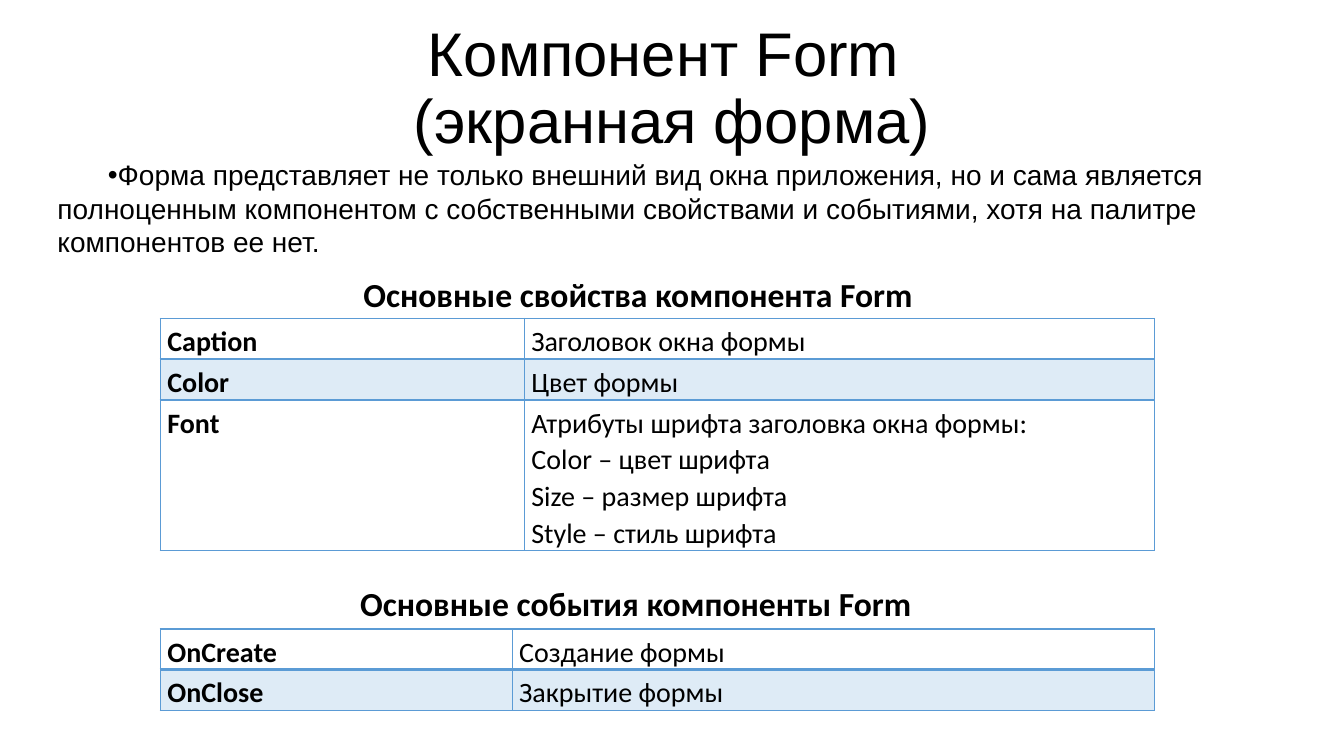
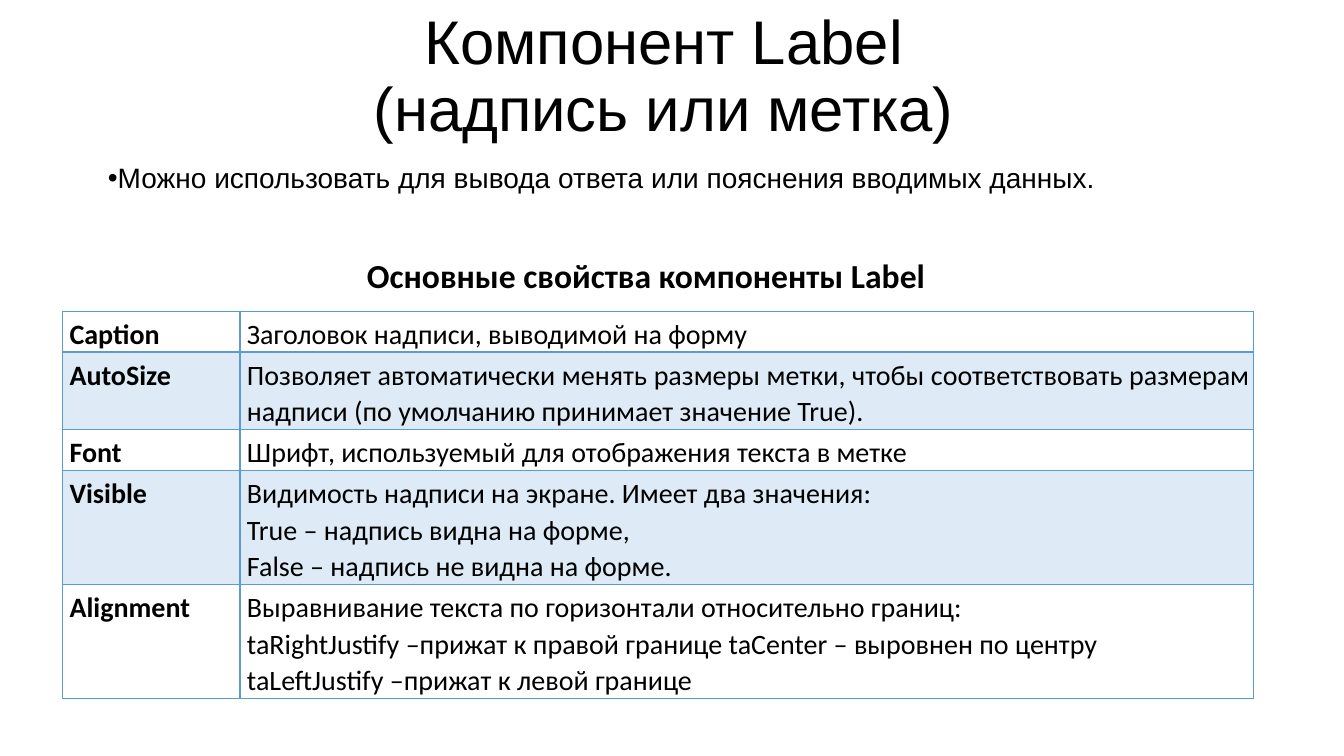
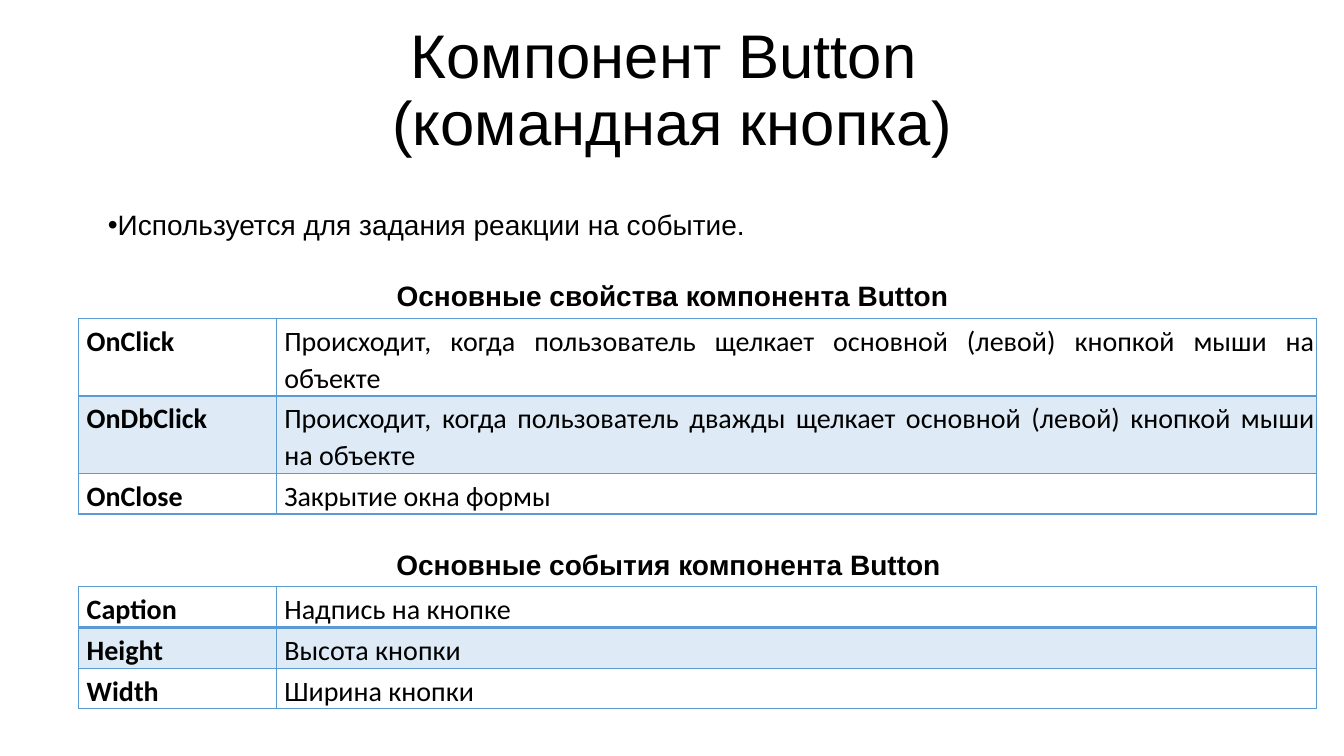
import pptx
import pptx.dml.color
import pptx.enum.text
import pptx.oxml
import pptx.oxml.ns
import pptx.util

Inches, Pt = pptx.util.Inches, pptx.util.Pt
ALIGN = pptx.enum.text.PP_ALIGN
ANCHOR = pptx.enum.text.MSO_ANCHOR
BLACK, BLUE = "000000", "5B9BD5"
LINE_HEIGHT = 0.36
CELL_PADDING = 0.03
SIDES = ("L", "R", "T", "B")


def style_text(frame, font, size, bold=False, align=ALIGN.LEFT, spacing=1.0):
    for para in frame.paragraphs:
        para.alignment = align
        para.line_spacing = spacing
        para.space_before = Pt(0)
        for span in para.runs:
            span.font.name = font
            span.font.size = Pt(size)
            span.font.bold = bold
            span.font.color.rgb = pptx.dml.color.RGBColor.from_string(BLACK)


def place(shape, left, top, width, height):
    shape.left, shape.top = Inches(left), Inches(top)
    shape.width, shape.height = Inches(width), Inches(height)
    shape.text_frame.word_wrap = True
    shape.text_frame.auto_size = pptx.enum.text.MSO_AUTO_SIZE.NONE


# Captions: text, left, top, width, font, size.
# Tables: left, top, column widths, left and right cell insets, rows.
# Rows: name, description, number of lines.
slides = [
    {
        "title": "Компонент Form \v(экранная форма)",
        "title_top": 0.17,
        "lead": "Форма представляет не только внешний вид окна приложения, но и сама "
                "является полноценным компонентом с собственными свойствами и событиями, "
                "хотя на палитре компонентов ее нет.",
        "lead_box": (1.51, 1.11),
        "captions": [
            ("Основные свойства компонента Form ", 3.34, 2.67, 6.05, "Calibri", 24),
            ("Основные события компоненты Form", 3.28, 5.73, 6.05, "Calibri", 24),
        ],
        "tables": [
            (1.59, 3.16, (3.61, 6.25), (0.07, 0.08), [
                ("Caption", "Заголовок окна формы", 1),
                ("Color", "Цвет формы", 1),
                ("Font", "Атрибуты шрифта заголовка окна формы:\nColor – цвет шрифта\n"
                         "Size – размер шрифта\nStyle – стиль шрифта", 4),
            ]),
            (1.59, 6.24, (3.49, 6.37), (0.07, 0.08), [
                ("OnCreate", "Создание формы", 1),
                ("OnClose", "Закрытие формы", 1),
            ]),
        ],
    },
    {
        "title": "Компонент Label \v(надпись или метка) ",
        "title_top": 0.05,
        "lead": "Можно использовать для вывода ответа или пояснения вводимых данных.",
        "lead_box": (1.54, 0.44),
        "captions": [
            ("Основные свойства компоненты Label ", 3.42, 2.48, 6.05, "Calibri", 24),
        ],
        "tables": [
            (0.62, 3.09, (1.76, 10.05), (0.07, 0.03), [
                ("Caption", "Заголовок надписи, выводимой на форму", 1),
                ("AutoSize", "Позволяет автоматически менять размеры метки, чтобы "
                             "соответствовать размерам надписи (по умолчанию принимает "
                             "значение True).", 2),
                ("Font", "Шрифт, используемый для отображения текста в метке", 1),
                ("Visible", "Видимость надписи на экране. Имеет два значения:\n"
                            "True – надпись видна на форме,\n"
                            "False – надпись не видна на форме.", 3),
                ("Alignment", "Выравнивание текста по горизонтали относительно границ:\v"
                              "taRightJustify –прижат к правой границе "
                              "taCenter – выровнен по центру\v"
                              "taLeftJustify –прижат к левой границе", 3),
            ]),
        ],
    },
    {
        "title": "Компонент Button \v(командная кнопка)",
        "title_top": 0.19,
        "lead": "Используется для задания реакции на событие.",
        "lead_box": (2.01, 0.44),
        "captions": [
            ("Основные свойства компонента Button", 0.47, 2.71, 12.4, "Arial", 20),
            ("Основные события компонента Button ", 0.47, 5.38, 12.4, "Arial", 20),
        ],
        "tables": [
            (0.78, 3.16, (1.96, 10.32), (0.08, 0.02), [
                ("OnClick", "Происходит, когда пользователь щелкает основной (левой) "
                            "кнопкой мыши на объекте", 2),
                ("OnDbClick", "Происходит, когда пользователь дважды щелкает основной "
                              "(левой) кнопкой мыши на объекте", 2),
                ("OnClose", "Закрытие окна формы", 1),
            ]),
            (0.78, 5.82, (1.96, 10.32), (0.08, 0.08), [
                ("Caption", "Надпись на кнопке", 1),
                ("Height", "Высота кнопки", 1),
                ("Width", "Ширина кнопки", 1),
            ]),
        ],
    },
]

deck = pptx.Presentation()
deck.slide_width, deck.slide_height = Inches(13.33), Inches(7.5)

for content in slides:
    page = deck.slides.add_slide(deck.slide_layouts[1])

    title = page.shapes.title
    place(title, 0.92, content["title_top"], 11.5, 1.45)
    title.text_frame.text = content["title"]
    title.text_frame.vertical_anchor = ANCHOR.MIDDLE
    style_text(title.text_frame, "Arial", 44, align=ALIGN.CENTER, spacing=0.9)

    lead = page.placeholders[1]
    lead_top, lead_height = content["lead_box"]
    place(lead, 0.47, lead_top, 12.4, lead_height)
    lead.text_frame.text = content["lead"]
    lead.text_frame.vertical_anchor = ANCHOR.MIDDLE
    style_text(lead.text_frame, "Arial", 20)
    indents = lead.text_frame.paragraphs[0]._p.get_or_add_pPr()
    indents.set("marL", "0")
    indents.set("indent", str(Inches(0.5)))

    for text, left, top, width, font, size in content["captions"]:
        caption = page.shapes.add_textbox(0, 0, 0, 0)
        place(caption, left, top, width, 0.5)
        caption.text_frame.text = text
        style_text(caption.text_frame, font, size, bold=True, align=ALIGN.CENTER)

    for left, top, widths, insets, rows in content["tables"]:
        heights = [CELL_PADDING + LINE_HEIGHT * lines for _, _, lines in rows]
        table = page.shapes.add_table(
            len(rows), len(widths), Inches(left), Inches(top),
            Inches(sum(widths)), Inches(sum(heights))).table
        table.first_row = table.horz_banding = False
        for column, width in zip(table.columns, widths):
            column.width = Inches(width)

        for row_index, (name, description, lines) in enumerate(rows):
            table.rows[row_index].height = Inches(heights[row_index])
            wraps = lines > 1 and "\n" not in description and "\v" not in description
            for column_index, text in enumerate((name, description)):
                cell = table.cell(row_index, column_index)
                cell.text_frame.text = text
                cell.margin_left, cell.margin_right = map(Inches, insets)
                cell.margin_top, cell.margin_bottom = Inches(0.04), 0
                justified = wraps and column_index == 1
                style_text(cell.text_frame, "Calibri", 20, bold=column_index == 0,
                           align=ALIGN.JUSTIFY if justified else ALIGN.LEFT, spacing=1.07)

                properties = cell._tc.get_or_add_tcPr()
                if row_index % 2:
                    cell.fill.solid()
                    cell.fill.fore_color.rgb = pptx.dml.color.RGBColor.from_string(BLUE)
                    tint = properties.find(".//" + pptx.oxml.ns.qn("a:srgbClr"))
                    tint.append(pptx.oxml.parse_xml(
                        f'<a:alpha {pptx.oxml.ns.nsdecls("a")} val="20000"/>'))
                else:
                    cell.fill.background()
                for position, side in enumerate(SIDES):
                    weight = 2 if row_index == 0 and side == "B" else 1
                    properties.insert(position, pptx.oxml.parse_xml(
                        f'<a:ln{side} {pptx.oxml.ns.nsdecls("a")} w="{Pt(weight)}">'
                        f'<a:solidFill><a:srgbClr val="{BLUE}"/></a:solidFill></a:ln{side}>'))

deck.save("out.pptx")
